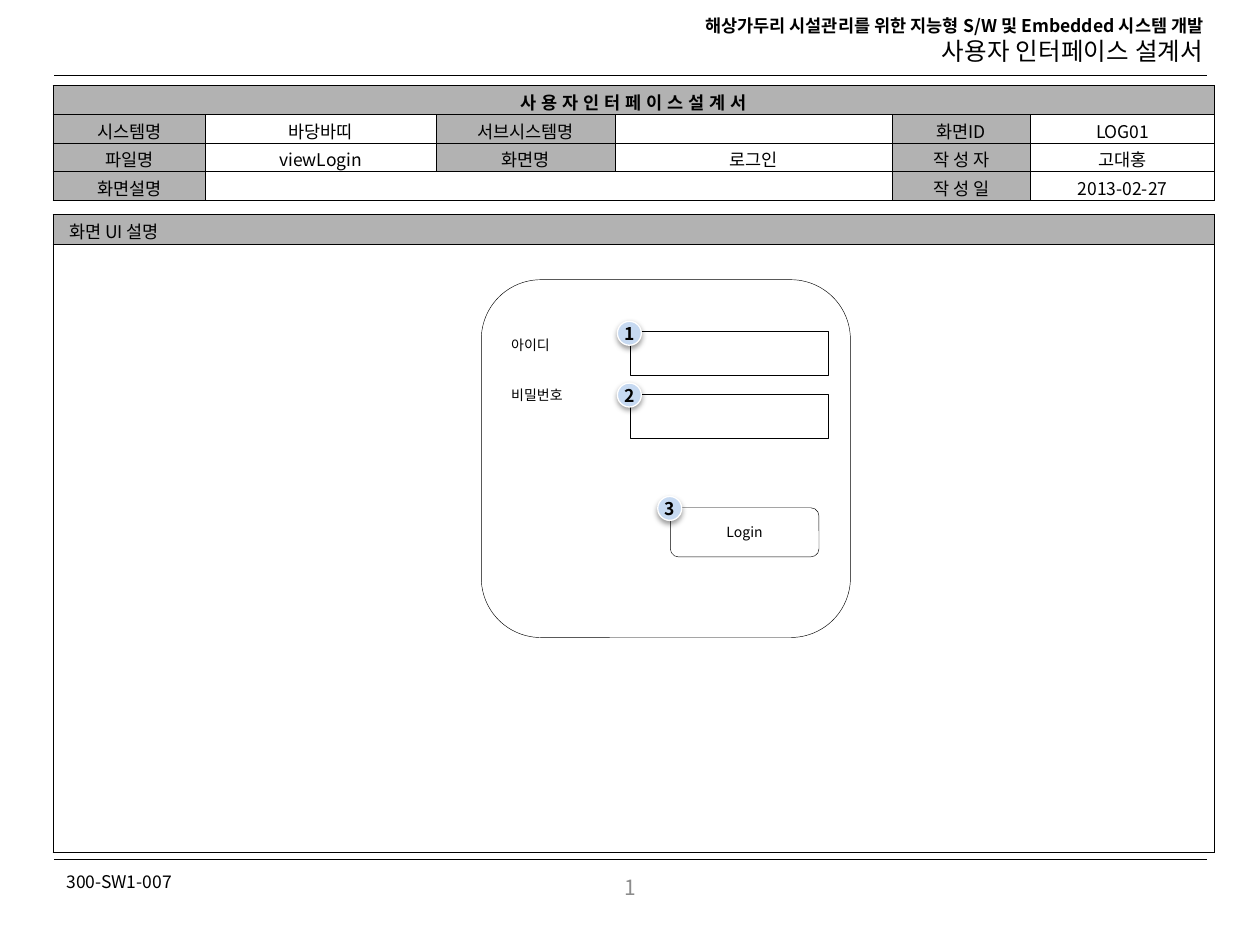
"""Build the login screen page of a user interface design document."""
import pptx
import pptx.dml.color
import pptx.enum.shapes
import pptx.enum.text
import pptx.oxml.ns
import pptx.util
import lxml.etree

Inches = pptx.util.Inches
Pt = pptx.util.Pt
RGBColor = pptx.dml.color.RGBColor
Shape = pptx.enum.shapes.MSO_SHAPE
Align = pptx.enum.text.PP_ALIGN
Anchor = pptx.enum.text.MSO_ANCHOR
qn = pptx.oxml.ns.qn

FONT = "Noto Sans CJK KR"
BLACK = RGBColor(0x00, 0x00, 0x00)
WHITE = RGBColor(0xFF, 0xFF, 0xFF)
HEADER_GRAY = RGBColor(0xB2, 0xB2, 0xB2)
NUMBER_GRAY = RGBColor(0x8C, 0x8C, 0x8C)
BADGE_BLUE = RGBColor(0xC6, 0xD9, 0xF1)
HAIRLINE = Pt(0.25)


def write(para, text, size=10, bold=False, color=BLACK, align=Align.LEFT, spacing=0):
    para.alignment = align
    if not text:
        end = lxml.etree.SubElement(para._p, qn("a:endParaRPr"))
        end.set("sz", str(size * 100))
        return
    span = para.add_run()
    span.text = text
    span.font.size = Pt(size)
    span.font.bold = bold
    span.font.color.rgb = color
    span.font.name = FONT
    if spacing:
        span.font._element.set("spc", str(spacing))
    east_asian = lxml.etree.SubElement(span.font._element, qn("a:ea"))
    east_asian.set("typeface", FONT)


def style_cell(cell, fill, side, edge):
    cell.margin_left = cell.margin_right = Inches(side)
    cell.margin_top = cell.margin_bottom = Inches(edge)
    properties = cell._tc.get_or_add_tcPr()
    for name in ("a:lnL", "a:lnR", "a:lnT", "a:lnB"):
        border = lxml.etree.SubElement(properties, qn(name), w=str(HAIRLINE))
        paint = lxml.etree.SubElement(border, qn("a:solidFill"))
        lxml.etree.SubElement(paint, qn("a:srgbClr"), val=str(BLACK))
    cell.fill.solid()
    cell.fill.fore_color.rgb = fill


deck = pptx.Presentation()
deck.slide_width = Inches(10)
deck.slide_height = Inches(7.5)
page = deck.slides.add_slide(deck.slide_layouts[6])

heading = page.shapes.add_textbox(Inches(4.77), Inches(0.07), Inches(4.88), Inches(0.51)).text_frame
heading.word_wrap = True
write(heading.paragraphs[0], "해상가두리 시설관리를 위한 지능형 S/W 및 Embedded 시스템 개발",
      bold=True, align=Align.RIGHT, spacing=7)
write(heading.add_paragraph(), "사용자 인터페이스 설계서", size=14, align=Align.RIGHT, spacing=12)

for top in (0.6, 6.82):
    rule = page.shapes.add_connector(pptx.enum.shapes.MSO_CONNECTOR.STRAIGHT,
                                     Inches(0.43), Inches(top), Inches(9.58), Inches(top))
    rule.line.color.rgb = BLACK
    rule.line.width = HAIRLINE
    lxml.etree.SubElement(rule._element.spPr, qn("a:effectLst"))

document_code = page.shapes.add_textbox(Inches(0.43), Inches(6.86), Inches(1.16), Inches(0.27)).text_frame
document_code.word_wrap = False
write(document_code.paragraphs[0], "300-SW1-007")

page_number = page.shapes.add_textbox(Inches(0.43), Inches(6.84), Inches(9.15), Inches(0.4)).text_frame
page_number.word_wrap = True
page_number.vertical_anchor = Anchor.MIDDLE
write(page_number.paragraphs[0], "1", size=12, color=NUMBER_GRAY, align=Align.CENTER)

panel = page.shapes.add_table(2, 1, Inches(0.42), Inches(1.7), Inches(9.22), Inches(5.06))
panel.table.first_row = panel.table.horz_banding = False
for row, height, text, fill in zip(panel.table.rows, (0.24, 4.82),
                                   ("화면 UI 설명", ""), (HEADER_GRAY, WHITE)):
    row.height = Inches(height)
    style_cell(row.cells[0], fill, side=0.13, edge=0.03)
    write(row.cells[0].text_frame.paragraphs[0], text)

summary_rows = [
    ["사 용 자 인 터 페 이 스 설 계 서", "", "", "", "", ""],
    ["시스템명", "바당바띠", "서브시스템명", "", "화면ID", "LOG01"],
    ["파일명", "viewLogin", "화면명", "로그인", "작 성 자", "고대홍"],
    ["화면설명", "", "", "", "작 성 일", "2013-02-27"],
]
summary = page.shapes.add_table(4, 6, Inches(0.42), Inches(0.68), Inches(9.22), Inches(0.95))
grid = summary.table
grid.first_row = grid.horz_banding = False
for column, width in zip(grid.columns, (1.21, 1.83, 1.42, 2.2, 1.1, 1.46)):
    column.width = Inches(width)
for row_index, texts in enumerate(summary_rows):
    is_title = row_index == 0
    grid.rows[row_index].height = Inches(0.19)
    for column_index, text in enumerate(texts):
        cell = grid.cell(row_index, column_index)
        is_label = is_title or (column_index % 2 == 0 and text != "")
        style_cell(cell, HEADER_GRAY if is_label else WHITE, side=0.13, edge=0.03)
        cell.vertical_anchor = Anchor.MIDDLE
        write(cell.text_frame.paragraphs[0], text, bold=is_title, align=Align.CENTER,
              spacing=30 if is_title else 0)
grid.cell(0, 0).merge(grid.cell(0, 5))
grid.cell(3, 1).merge(grid.cell(3, 3))
summary.height = Inches(0.95)

boxes = []
for kind, left, top, width, height in (
    (Shape.ROUNDED_RECTANGLE, 3.82, 2.22, 2.93, 2.84),
    (Shape.RECTANGLE, 5, 2.63, 1.57, 0.35),
    (Shape.RECTANGLE, 5, 3.13, 1.57, 0.35),
    (Shape.ROUNDED_RECTANGLE, 5.32, 4.03, 1.18, 0.39),
):
    box = page.shapes.add_shape(kind, Inches(left), Inches(top), Inches(width), Inches(height))
    box.shadow.inherit = False
    box.fill.solid()
    box.fill.fore_color.rgb = WHITE
    box.line.color.rgb = BLACK
    box.line.width = HAIRLINE
    boxes.append(box)
login_form, id_field, password_field, login_button = boxes

login_form.fill.background()
form = login_form.text_frame
form.vertical_anchor = Anchor.TOP
form.margin_top = Inches(0.31)
write(form.paragraphs[0], "아이디", size=8)
password_label = form.add_paragraph()
password_label.space_before = Pt(19)
write(password_label, "비밀번호", size=8)

button = login_button.text_frame
button.vertical_anchor = Anchor.MIDDLE
write(button.paragraphs[0], "Login", size=8, align=Align.CENTER)

for number, (left, top) in enumerate(((4.9, 2.55), (4.9, 3.04), (5.22, 3.94)), start=1):
    badge = page.shapes.add_shape(Shape.OVAL, Inches(left), Inches(top), Inches(0.19), Inches(0.19))
    badge.fill.solid()
    badge.fill.fore_color.rgb = BADGE_BLUE
    badge.line.color.rgb = WHITE
    badge.line.width = Pt(0.75)
    badge.shadow.inherit = False
    effects = badge._element.spPr.find(qn("a:effectLst"))
    shadow = lxml.etree.SubElement(effects, qn("a:outerShdw"), blurRad=str(Pt(3.1)),
                                   dist=str(Pt(1.6)), dir="5400000", rotWithShape="0")
    shade = lxml.etree.SubElement(shadow, qn("a:srgbClr"), val=str(BLACK))
    lxml.etree.SubElement(shade, qn("a:alpha"), val="38000")
    label = badge.text_frame
    label.margin_left = label.margin_right = label.margin_top = label.margin_bottom = 0
    label.word_wrap = False
    label.vertical_anchor = Anchor.MIDDLE
    write(label.paragraphs[0], str(number), bold=True, align=Align.CENTER)

deck.save("out.pptx")
